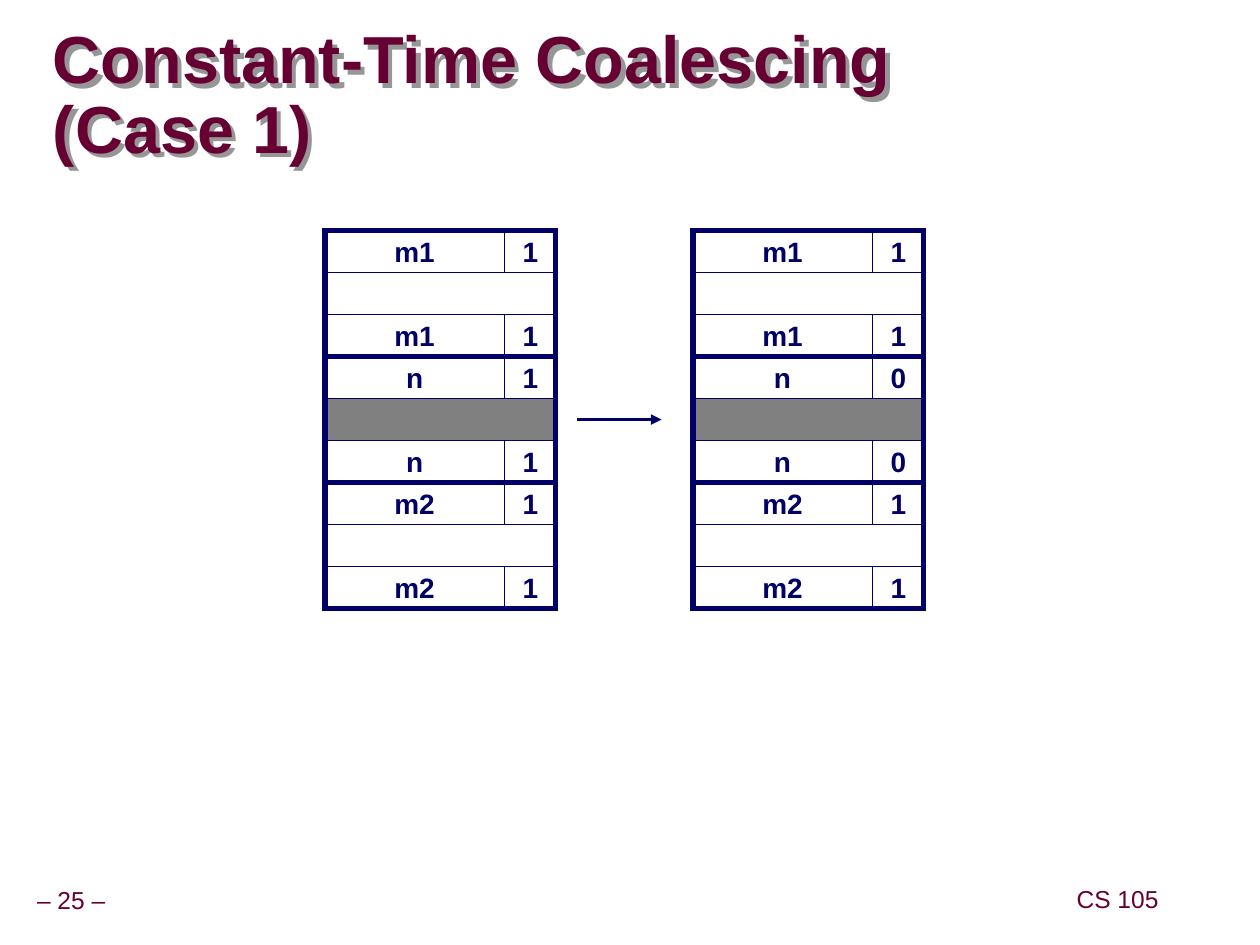
from lxml.etree import SubElement
from pptx import Presentation
from pptx.dml.color import RGBColor
from pptx.enum.shapes import MSO_CONNECTOR, MSO_SHAPE
from pptx.enum.text import MSO_ANCHOR, MSO_AUTO_SIZE, PP_ALIGN
from pptx.oxml.ns import qn
from pptx.util import Inches, Pt

TITLE = "Constant-Time Coalescing\v(Case 1)"
FOOTERS = [("– 25 –", -0.09, 7, 1.31), ("CS 105", 8.37, 6.99, 1)]
HEAPS = [
    (2.58, [("m1", "1", "white"), ("n", "1", "gray"), ("m2", "1", "white")]),
    (5.5, [("m1", "1", "white"), ("n", "0", "gray"), ("m2", "1", "white")]),
]
COLORS = {
    "maroon": "660033",
    "navy": "000066",
    "white": "FFFFFF",
    "gray": "808080",
    "shadow": "969696",
}
FONT = "Arial"
HEAP_TOP = 1.83
BLOCK_HEIGHT = 1
ROW_HEIGHT = BLOCK_HEIGHT / 3
SIZE_WIDTH, FLAG_WIDTH = 1.42, 0.42
BLOCK_WIDTH = 1.83
ARROW_LEFT, ARROW_RIGHT, ARROW_Y = 4.58, 5.25, 3.33


def color(name):
    return RGBColor.from_string(COLORS[name])


def style(paragraph, size, color_name, bold=False):
    font = paragraph.font
    font.name, font.size, font.bold = FONT, Pt(size), bold
    font.color.rgb = color(color_name)


def set_margins(frame, horizontal, vertical):
    frame.margin_left = frame.margin_right = Inches(horizontal)
    frame.margin_top = frame.margin_bottom = Inches(vertical)
    frame.vertical_anchor = MSO_ANCHOR.MIDDLE


def add_box(slide, left, top, width, height, fill=None, line=0.25, text=None):
    box = slide.shapes.add_shape(
        MSO_SHAPE.RECTANGLE, Inches(left), Inches(top), Inches(width), Inches(height)
    )
    box.shadow.inherit = False
    if fill:
        box.fill.solid()
        box.fill.fore_color.rgb = color(fill)
    else:
        box.fill.background()
    box.line.color.rgb = color("navy")
    box.line.width = Pt(line)
    SubElement(box.line._get_or_add_ln(), qn("a:miter"), lim="800000")
    if text:
        frame = box.text_frame
        set_margins(frame, 0.1, 0.05)
        frame.word_wrap = False
        frame.text = text
        label = frame.paragraphs[0]
        label.alignment = PP_ALIGN.CENTER
        style(label, 16, "navy", bold=True)


def add_block(slide, left, top, size, flag, payload_fill):
    for row_top in (top, top + 2 * ROW_HEIGHT):
        add_box(slide, left, row_top, SIZE_WIDTH, ROW_HEIGHT, "white", text=size)
        add_box(slide, left + SIZE_WIDTH, row_top, FLAG_WIDTH, ROW_HEIGHT, "white", text=flag)
    add_box(slide, left, top + ROW_HEIGHT, BLOCK_WIDTH, ROW_HEIGHT, payload_fill)
    add_box(slide, left, top, BLOCK_WIDTH, BLOCK_HEIGHT, line=3)


def add_title(slide):
    title = slide.shapes.title
    title.left, title.top = Inches(0.42), Inches(0.46)
    title.width, title.height = Inches(9.08), Inches(0.63)
    title.fill.background()
    title.line.fill.background()
    effects = SubElement(title._element.spPr, qn("a:effectLst"))
    shadow = SubElement(
        effects, qn("a:outerShdw"), dist=str(Inches(0.05)), dir="2700000",
        algn="ctr", rotWithShape="0",
    )
    SubElement(shadow, qn("a:srgbClr"), val=COLORS["shadow"])
    frame = title.text_frame
    set_margins(frame, 0, 0)
    frame.word_wrap = True
    frame.text = TITLE
    heading = frame.paragraphs[0]
    heading.alignment = PP_ALIGN.LEFT
    heading.line_spacing = 0.87
    style(heading, 38, "maroon", bold=True)


def add_footer(slide, text, left, top, width):
    footer = slide.shapes.add_textbox(Inches(left), Inches(top), Inches(width), Inches(0.31))
    frame = footer.text_frame
    set_margins(frame, 0.05, 0.05)
    frame.word_wrap = False
    frame.auto_size = MSO_AUTO_SIZE.SHAPE_TO_FIT_TEXT
    frame.text = text
    paragraph = frame.paragraphs[0]
    paragraph.alignment = PP_ALIGN.CENTER
    paragraph.line_spacing = 0.9
    style(paragraph, 14, "maroon")


def add_arrow(slide):
    arrow = slide.shapes.add_connector(
        MSO_CONNECTOR.STRAIGHT,
        Inches(ARROW_LEFT), Inches(ARROW_Y), Inches(ARROW_RIGHT), Inches(ARROW_Y),
    )
    arrow.line.color.rgb = color("navy")
    arrow.line.width = Pt(2)
    SubElement(arrow.line._get_or_add_ln(), qn("a:tailEnd"), type="triangle")
    SubElement(arrow._element.spPr, qn("a:effectLst"))


def main():
    presentation = Presentation()
    presentation.slide_width, presentation.slide_height = Inches(10), Inches(7.5)
    slide = presentation.slides.add_slide(presentation.slide_layouts[5])
    add_title(slide)
    for footer in FOOTERS:
        add_footer(slide, *footer)
    for left, blocks in HEAPS:
        for index, block in enumerate(blocks):
            add_block(slide, left, HEAP_TOP + index * BLOCK_HEIGHT, *block)
    add_arrow(slide)
    presentation.save("out.pptx")


if __name__ == "__main__":
    main()
